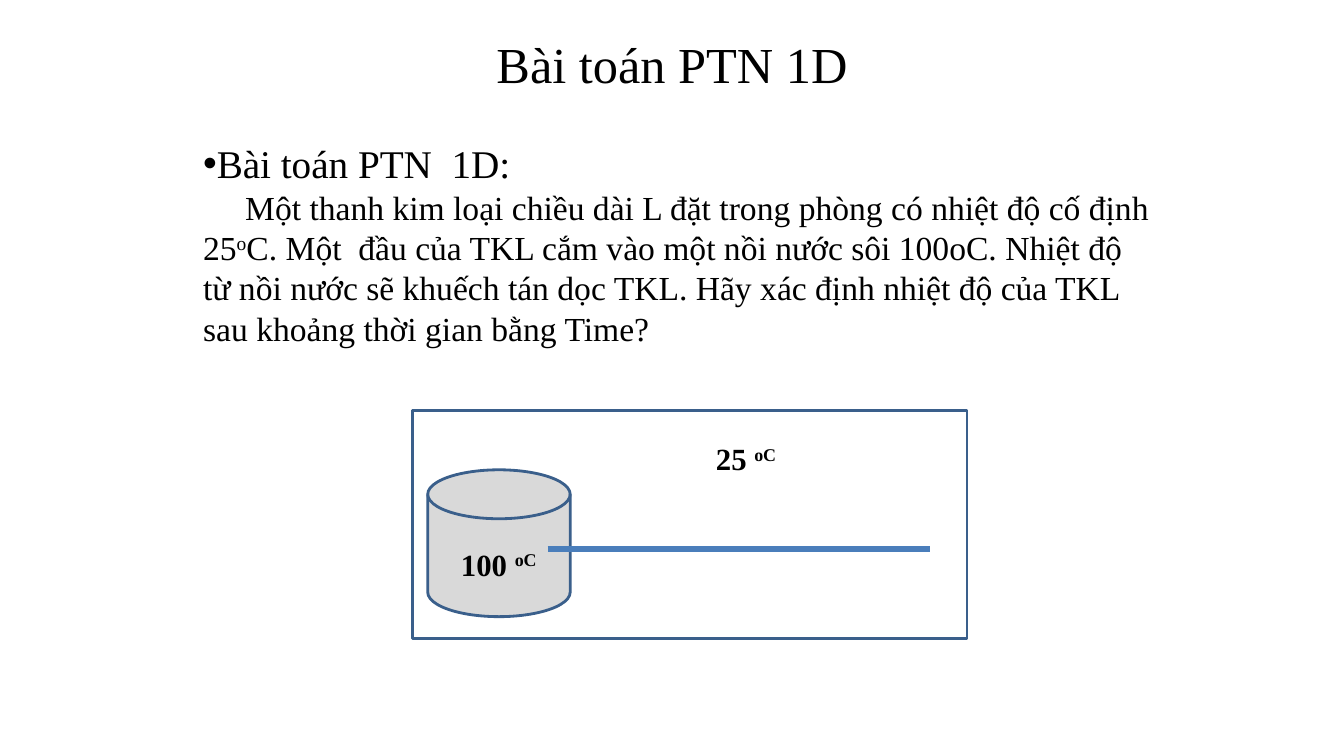
from dataclasses import dataclass

from lxml.etree import SubElement
from pptx import Presentation
from pptx.dml.color import RGBColor
from pptx.enum.shapes import MSO_CONNECTOR as Connector, MSO_SHAPE as Preset
from pptx.enum.text import MSO_ANCHOR as Anchor, PP_ALIGN as Align
from pptx.oxml.ns import qn
from pptx.slide import Slide
from pptx.util import Cm, Pt


@dataclass(frozen=True)
class Theme:
    font: str = "Times New Roman"
    ink: str = "000000"
    pot: str = "D9D9D9"
    outline: str = "3A5F8B"
    rod: str = "4A7EBB"
    title_size: int = 36
    heading_size: int = 28
    body_size: int = 24
    label_size: int = 22
    outline_width: int = 2
    rod_width: int = 4


@dataclass(frozen=True)
class Box:
    left: float
    top: float
    width: float
    height: float

    def lengths(self) -> tuple[Cm, ...]:
        return Cm(self.left), Cm(self.top), Cm(self.width), Cm(self.height)


@dataclass(frozen=True)
class Span:
    text: str
    raised: bool = False


@dataclass(frozen=True)
class Line:
    spans: tuple[Span, ...]
    size: int
    bold: bool = False
    align: Align = Align.LEFT
    bullet: str = ""
    indent: float = 0


@dataclass(frozen=True)
class TextBlock:
    box: Box
    lines: tuple[Line, ...]
    anchor: Anchor = Anchor.TOP


@dataclass(frozen=True)
class Solid:
    preset: Preset
    box: Box
    fill: str = ""


THEME = Theme()


def degrees(value: str, left: float, top: float) -> TextBlock:
    reading = Line((Span(f"{value} "), Span("oC", True)), THEME.label_size, True, Align.CENTER)
    return TextBlock(Box(left, top, 2.82, 1.17), (reading,))


TITLE = TextBlock(
    Box(5.51, 0.22, 22.86, 2.74),
    (Line((Span("Bài toán PTN 1D"),), THEME.title_size, align=Align.CENTER),),
    Anchor.MIDDLE,
)
PROBLEM = TextBlock(
    Box(4.87, 3.39, 24.4, 14.6),
    (
        Line((Span("Bài toán PTN  1D:"),), THEME.heading_size, bullet="•"),
        Line(
            (
                Span("Một thanh kim loại chiều dài L đặt trong phòng có nhiệt độ cố định 25"),
                Span("o", True),
                Span(
                    "C. Một  đầu của TKL cắm vào một nồi nước sôi 100oC. "
                    "Nhiệt độ từ nồi nước sẽ khuếch tán dọc TKL. "
                    "Hãy xác định nhiệt độ của TKL sau khoảng thời gian bằng Time?"
                ),
            ),
            THEME.body_size,
            indent=1.06,
        ),
    ),
)
POT = Solid(Preset.FLOWCHART_MAGNETIC_DISK, Box(10.78, 11.84, 3.59, 3.7), THEME.pot)
ROD = Box(13.8, 13.84, 9.63, 0)
ROOM = Solid(Preset.RECTANGLE, Box(10.39, 10.34, 13.98, 5.75))
POT_LABEL = degrees("100", 11.16, 13.62)
ROOM_LABEL = degrees("25", 17.39, 10.95)


def draw_text(slide: Slide, block: TextBlock) -> None:
    frame = slide.shapes.add_textbox(*block.box.lengths()).text_frame
    frame.word_wrap = True
    frame.vertical_anchor = block.anchor
    for index, line in enumerate(block.lines):
        paragraph = frame.add_paragraph() if index else frame.paragraphs[0]
        paragraph.alignment = line.align
        properties = paragraph._p.get_or_add_pPr()
        properties.set("marL", "0")
        properties.set("indent", str(Cm(line.indent)))
        if line.bullet:
            SubElement(properties, qn("a:buFont"), typeface="Arial")
            SubElement(properties, qn("a:buChar"), char=line.bullet)
        font_format = {"name": THEME.font, "size": Pt(line.size), "bold": line.bold}
        for span in line.spans:
            run = paragraph.add_run()
            run.text = span.text
            for attribute, value in font_format.items():
                setattr(run.font, attribute, value)
            run.font.color.rgb = RGBColor.from_string(THEME.ink)
            if span.raised:
                run._r.get_or_add_rPr().set("baseline", "30000")


def draw_solid(slide: Slide, solid: Solid) -> None:
    shape = slide.shapes.add_shape(solid.preset, *solid.box.lengths())
    shape.shadow.inherit = False
    if solid.fill:
        shape.fill.solid()
        shape.fill.fore_color.rgb = RGBColor.from_string(solid.fill)
    else:
        shape.fill.background()
    shape.line.color.rgb = RGBColor.from_string(THEME.outline)
    shape.line.width = Pt(THEME.outline_width)


def draw_rod(slide: Slide, box: Box) -> None:
    left, top, width, height = box.lengths()
    rod = slide.shapes.add_connector(Connector.STRAIGHT, left, top, left + width, top + height)
    rod.line.color.rgb = RGBColor.from_string(THEME.rod)
    rod.line.width = Pt(THEME.rod_width)
    SubElement(rod._element.spPr, qn("a:effectLst"))


def main() -> None:
    deck = Presentation()
    deck.slide_width, deck.slide_height = Cm(33.87), Cm(19.05)
    slide = deck.slides.add_slide(deck.slide_layouts[6])
    for block in (TITLE, PROBLEM):
        draw_text(slide, block)
    draw_solid(slide, POT)
    draw_rod(slide, ROD)
    draw_solid(slide, ROOM)
    for label in (POT_LABEL, ROOM_LABEL):
        draw_text(slide, label)
    deck.save("out.pptx")


if __name__ == "__main__":
    main()
